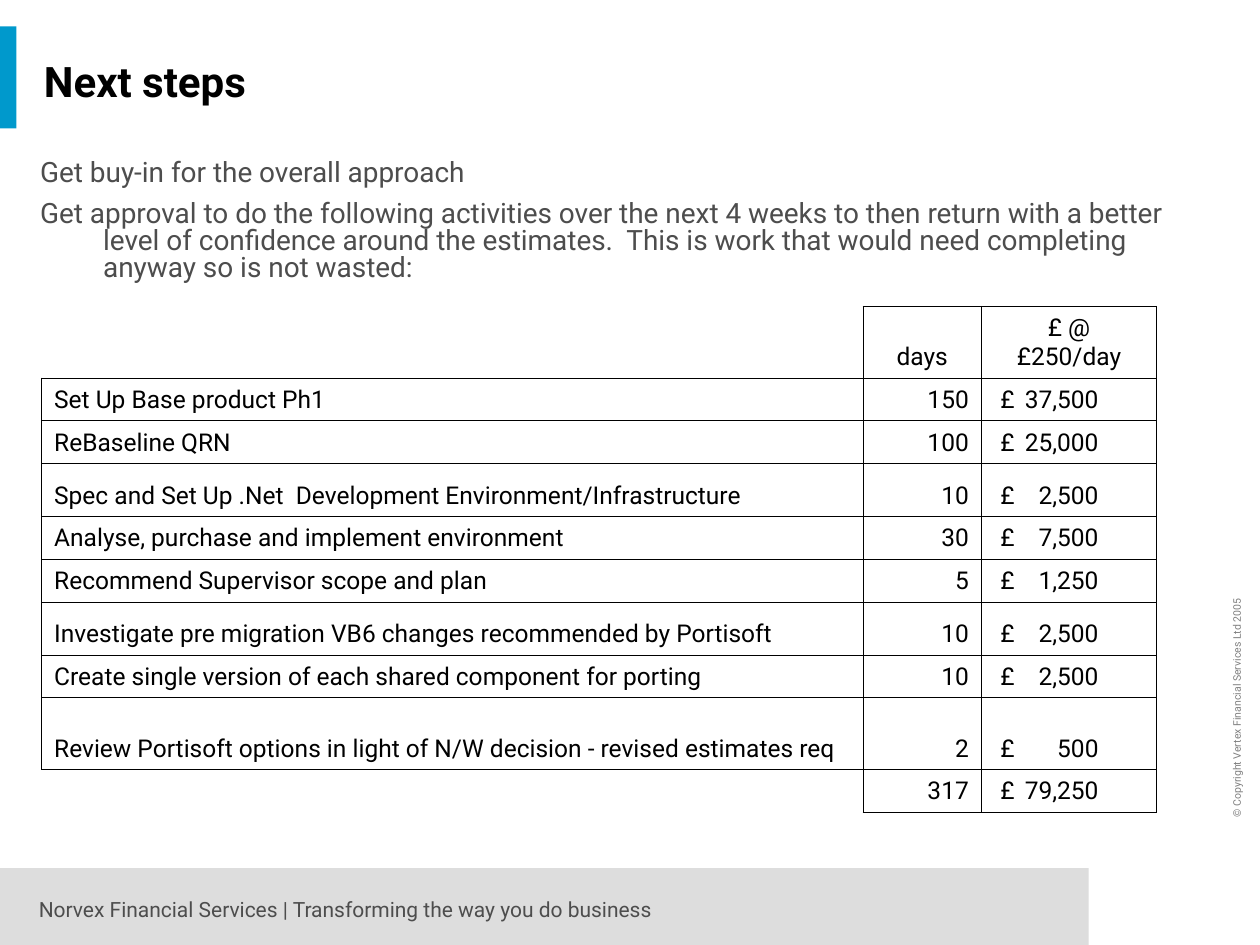
from lxml import etree
from pptx import Presentation
from pptx import util as u
from pptx.dml.color import RGBColor
from pptx.enum import shapes, text
from pptx.oxml import ns

FONT = "Roboto"
INK = {"black": "000000", "dark": "4D4D4D", "gray": "808080",
       "pale": "DDDDDD", "blue": "0099CC", "white": "FFFFFF"}
LEFT, MID, RIGHT = text.PP_ALIGN.LEFT, text.PP_ALIGN.CENTER, text.PP_ALIGN.RIGHT

COLS = [6.52, 0.94, 1.39]
LOW, HIGH, TALL = 0.34, 0.42, 0.57
TASKS = [
    (LOW, "Set Up Base product Ph1", "150", "37,500"),
    (LOW, "ReBaseline QRN", "100", "25,000"),
    (HIGH, "Spec and Set Up .Net  Development Environment/Infrastructure", "10", "2,500"),
    (LOW, "Analyse, purchase and implement environment", "30", "7,500"),
    (LOW, "Recommend Supervisor scope and plan", "5", "1,250"),
    (HIGH, "Investigate pre migration VB6 changes recommended by Portisoft", "10", "2,500"),
    (LOW, "Create single version of each shared component for porting", "10", "2,500"),
    (TALL, "Review Portisoft options in light of N/W decision - revised estimates req",
     "2", "500"),
    (LOW, "", "317", "79,250"),
]
STEPS = [
    "Get buy-in for the overall approach",
    "Get approval to do the following activities over the next 4 weeks to then "
    "return with a better level of confidence around the estimates.  This is work "
    "that would need completing anyway so is not wasted:",
]


def color(name):
    return RGBColor.from_string(INK[name])


def node(parent, tag, **attrs):
    return etree.SubElement(parent, ns.qn(tag), attrs)


def add_run(para, words, size, ink, bold=False):
    run = para.add_run()
    run.text = words
    font = run.font
    font.name, font.size, font.bold = FONT, u.Pt(size), bold
    font.color.rgb = color(ink)


def add_block(slide, x, y, w, h, ink):
    block = slide.shapes.add_shape(
        shapes.MSO_SHAPE.RECTANGLE, *map(u.Inches, (x, y, w, h)))
    block.shadow.inherit = False
    block.fill.solid()
    block.fill.fore_color.rgb = color(ink)
    block.line.fill.background()


def add_edge(slide, x, top, base):
    edge = slide.shapes.add_connector(
        shapes.MSO_CONNECTOR.STRAIGHT, *map(u.Inches, (x, base, x, top)))
    edge.line.color.rgb = color("white")
    edge.line.width = u.Pt(1.5)
    node(edge._element.spPr, "a:effectLst")


def add_label(slide, x, y, w, h, lines, size, ink, bold=False, turn=0,
              anchor=text.MSO_ANCHOR.TOP):
    box = slide.shapes.add_textbox(*map(u.Inches, (x, y, w, h)))
    box.rotation = turn
    frame = box.text_frame
    frame.word_wrap = True
    frame.vertical_anchor = anchor
    for i, line in enumerate(lines):
        para = frame.add_paragraph() if i else frame.paragraphs[0]
        add_run(para, line, size, ink, bold)
    return frame


def add_steps(slide):
    frame = add_label(slide, 0.22, 1.23, 9.21, 1.1, STEPS, 16, "dark")
    for i, para in enumerate(frame.paragraphs):
        para.line_spacing = 0.8
        if i:
            para.space_before = u.Pt(8)
        props = para._p.get_or_add_pPr()
        props.set("marL", str(u.Inches(0.5)))
        props.set("indent", str(u.Inches(-0.5)))


def set_edges(cell, sides):
    props = cell._tc.get_or_add_tcPr()
    for side in "LRTB":
        line = node(props, "a:ln" + side, w=str(u.Pt(0.45)))
        if side in sides:
            node(node(line, "a:solidFill"), "a:srgbClr", val=INK["black"])
        else:
            node(line, "a:noFill")
    cell.fill.background()


def fill_cell(cell, words, align):
    cell.vertical_anchor = text.MSO_ANCHOR.BOTTOM
    para = cell.text_frame.paragraphs[0]
    para.alignment = align
    if "\t" in words:
        cell.margin_left = u.Inches(0.15)
        tabs = node(para._p.get_or_add_pPr(), "a:tabLst")
        node(tabs, "a:tab", pos=str(u.Inches(0.78)), algn="r")
    if words:
        add_run(para, words, 14, "black")
    else:
        cell.margin_top = cell.margin_bottom = 0


def add_costs(slide):
    rows = [(TALL, ("", "days", "£ @ £250/day"), (LEFT, MID, MID))]
    rows += [(high, (task, days, "£\t" + cost), (LEFT, RIGHT, LEFT))
             for high, task, days, cost in TASKS]
    last = len(rows) - 1
    bare = {(0, 0): "RB", (last, 0): "TR"}
    grid = slide.shapes.add_table(
        len(rows), len(COLS), *map(u.Inches, (0.33, 2.43, sum(COLS), 4))).table
    grid.first_row = grid.horz_banding = False
    for col, wide in zip(grid.columns, COLS):
        col.width = u.Inches(wide)
    for r, (high, words, aligns) in enumerate(rows):
        grid.rows[r].height = u.Inches(high)
        for c, (word, align) in enumerate(zip(words, aligns)):
            cell = grid.cell(r, c)
            fill_cell(cell, word, align)
            set_edges(cell, bare.get((r, c), "LRTB"))


def main():
    deck = Presentation()
    deck.slide_width, deck.slide_height = u.Inches(10), u.Inches(7.5)
    slide = deck.slides.add_slide(deck.slide_layouts[6])
    add_block(slide, 0, 6.89, 8.64, 0.61, "pale")
    add_label(slide, 8.76, 5.43, 2.11, 0.2,
              ["© Copyright Vertex Financial Services Ltd 2005"], 6, "gray", turn=270)
    add_edge(slide, 8.65, 6.88, 7.5)
    add_block(slide, 0, 0.21, 0.13, 0.81, "blue")
    add_label(slide, 0.21, 7.07, 8.13, 0.3,
              ["Norvex Financial Services | Transforming the way you do business"],
              12, "dark")
    add_label(slide, 0.25, 0.1, 9.49, 1.08, ["Next steps"], 24, "black",
              bold=True, anchor=text.MSO_ANCHOR.MIDDLE)
    add_steps(slide)
    add_costs(slide)
    deck.save("out.pptx")


if __name__ == "__main__":
    main()
